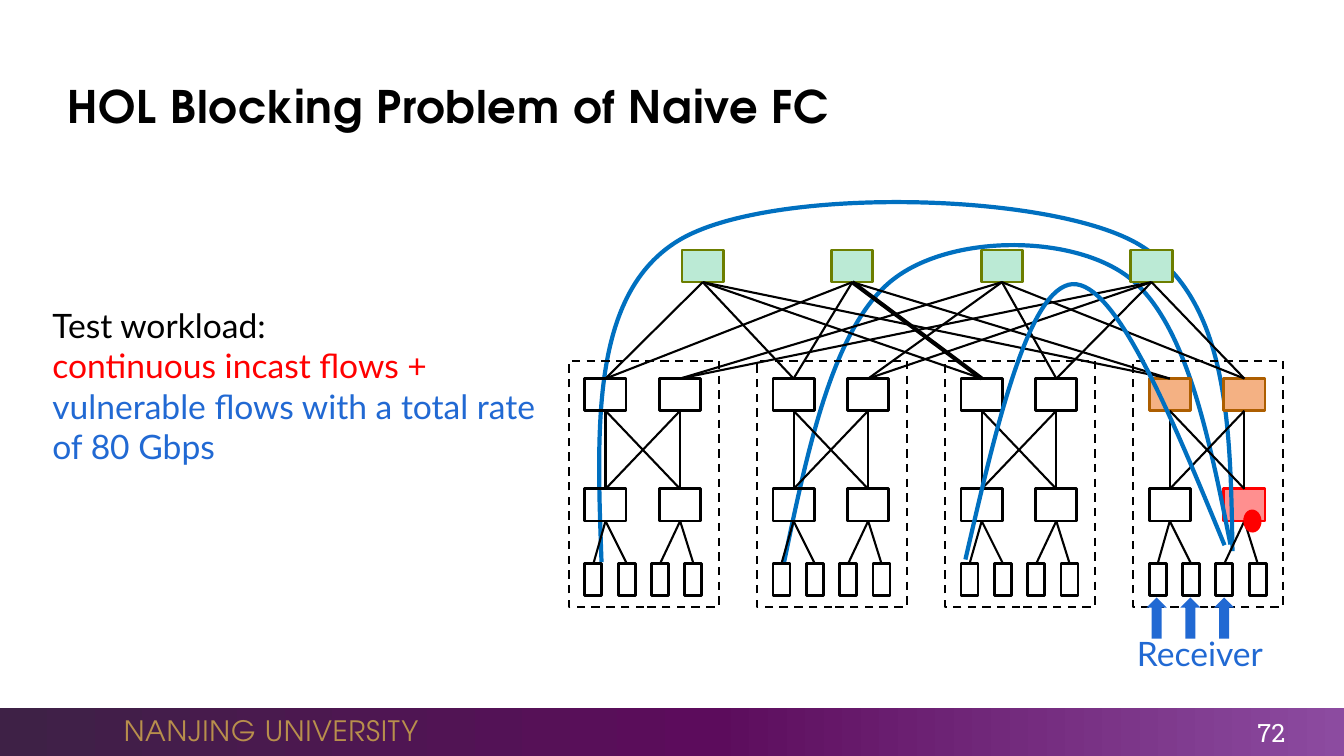
"""Build the slide on head-of-line blocking in a four-pod network."""
from copy import deepcopy
from itertools import product

from lxml import etree
from pptx import Presentation
from pptx.dml.color import RGBColor
from pptx.enum.dml import MSO_LINE
from pptx.enum.shapes import MSO_CONNECTOR, MSO_SHAPE
from pptx.enum.text import MSO_ANCHOR, PP_ALIGN
from pptx.oxml.ns import qn
from pptx.util import Cm, Pt

RECT, OVAL, ARROW = MSO_SHAPE.RECTANGLE, MSO_SHAPE.OVAL, MSO_SHAPE.RIGHT_ARROW
LINE, DASH = MSO_CONNECTOR.STRAIGHT, MSO_LINE.DASH
TOP, MID = MSO_ANCHOR.TOP, MSO_ANCHOR.MIDDLE
LEFT, RIGHT = PP_ALIGN.LEFT, PP_ALIGN.RIGHT

BLACK, RED, BLUE, FLOW = "000000", "FF0000", "2169D3", "0070C0"
HEAD, BODY, NUM = "TeX Gyre Adventor", "Lato", "Roboto Slab"
BAR = [(0, "3E2146"), (0.53, "5C0C5C"), (1, "8C4BA0")]
TITLE = [("HOL Blocking Problem of Naive FC", BLACK)]
LOAD = [
    ("Test workload:", BLACK),
    ("continuous incast flows +", RED),
    ("vulnerable flows with a total rate of 80 Gbps", BLUE),
]

PODS, CORES, PAIR, HOSTS, ARROWS = 4, 4, 2, 4, 3
BOX_W, BOX_H, HOST_W = 1.04, 0.81, 0.43
POD_X, POD_Y, POD_W, POD_H, POD_GAP = 14.34, 9.09, 3.78, 6.2, 4.74
PAD, BOX_GAP, HOST_GAP = 0.4, 1.88, 0.84
CORE_X, CORE_Y, CORE_GAP = 17.19, 6.3, 3.77
AGG_Y, TOR_Y, HOST_Y = 9.54, 12.32, 14.2
BOLD = (1, 2)

OUTER = [(15.16, 14.17), (15.04, 10.77), (14.88, 7.39), (17.12, 6.05),
         (19.38, 4.7), (26.31, 4.83), (28.63, 6.12),
         (30.96, 7.44), (31.01, 10.67), (31.06, 13.89)]
MIDDLE = [(19.76, 14.17), (20.37, 11.23), (21.01, 8.28), (22.45, 7.09),
          (23.9, 5.89), (27.03, 5.89), (28.45, 6.99),
          (29.87, 8.1), (30.45, 10.9), (31.01, 13.72)]
INNER = [(24.33, 14.1), (25.12, 10.67), (25.93, 7.24), (27.03, 7.16),
         (28.12, 7.11), (29.49, 10.41), (30.86, 13.74)]

deck = Presentation()
deck.slide_width, deck.slide_height = Cm(33.87), Cm(19.05)
slide = deck.slides.add_slide(deck.slide_layouts[6])
shapes = slide.shapes


def rgb(code):
    return RGBColor.from_string(code)


def style(item, fill=None, line=None, width=2, dash=None):
    item.shadow.inherit = False
    if fill:
        item.fill.solid()
        item.fill.fore_color.rgb = rgb(fill)
    else:
        item.fill.background()
    if line:
        item.line.color.rgb = rgb(line)
        item.line.width = Pt(width)
        if dash:
            item.line.dash_style = dash
    else:
        item.line.fill.background()
    return item


def draw(kind, x, y, w, h, turn=0, **look):
    item = shapes.add_shape(kind, Cm(x), Cm(y), Cm(w), Cm(h))
    item.rotation = turn
    return style(item, **look)


def link(x1, y1, x2, y2, width=1.5):
    item = shapes.add_connector(LINE, Cm(x1), Cm(y1), Cm(x2), Cm(y2))
    item.line.color.rgb = rgb(BLACK)
    item.line.width = Pt(width)
    etree.SubElement(item._element.spPr, qn("a:effectLst"))


def curve(knots, x, y, w, h):
    form = shapes.build_freeform(Cm(x), Cm(y))
    form.add_line_segments([(Cm(x + w), Cm(y + h))], close=False)
    item = style(form.convert_to_shape(), line=FLOW, width=3)
    trace = next(item._element.iter(qn("a:path")))
    for part in list(trace):
        trace.remove(part)
    parts = [("a:moveTo", knots[:1])]
    parts += [("a:cubicBezTo", knots[at:at + 3]) for at in range(1, len(knots), 3)]
    for tag, dots in parts:
        part = etree.SubElement(trace, qn(tag))
        for px, py in dots:
            etree.SubElement(part, qn("a:pt"), x=str(int(Cm(px - x))), y=str(int(Cm(py - y))))


def write(lines, x, y, w, h, size=24, font=BODY, bold=False, space=0,
          anchor=TOP, align=LEFT, wrap=True):
    frame = shapes.add_textbox(Cm(x), Cm(y), Cm(w), Cm(h)).text_frame
    frame.word_wrap, frame.vertical_anchor = wrap, anchor
    for at, (text, color) in enumerate(lines):
        para = frame.add_paragraph() if at else frame.paragraphs[0]
        para.alignment = align
        run = para.add_run()
        run.text = text
        run.font.size, run.font.name, run.font.bold = Pt(size), font, bold
        run.font.color.rgb = rgb(color)
        if space:
            run.font._element.set("spc", str(space))


def footer():
    bar = draw(RECT, 0, 17.83, 33.87, 1.22)
    bar.fill.gradient()
    bar.fill.gradient_angle = 0
    stops = bar._element.spPr.find(qn("a:gradFill")).find(qn("a:gsLst"))
    stops.append(deepcopy(stops[-1]))
    for stop, (place, color) in zip(bar.fill.gradient_stops, BAR):
        stop.position, stop.color.rgb = place, rgb(color)
    write([("NANJING UNIVERSITY", "B88F4C")], 2.87, 17.84, 8.05, 1.12,
          size=20, font=HEAD, space=50, anchor=MID, wrap=False)
    write([("72", "FFFFFF")], 29.95, 18.01, 2.69, 0.89,
          size=18, font=NUM, anchor=MID, align=RIGHT)


def box_x(pod, side):
    return POD_X + pod * POD_GAP + PAD + side * BOX_GAP


def port(pod, side):
    return box_x(pod, side) + BOX_W / 2


def draw_pod(pod):
    last = pod == PODS - 1
    look = {"fill": "F4B183", "line": "AD5E00"} if last else {"line": BLACK}
    for side in range(PAIR):
        if not (last and side):
            draw(RECT, box_x(pod, side), TOR_Y, BOX_W, BOX_H, line=BLACK)
        draw(RECT, box_x(pod, side), AGG_Y, BOX_W, BOX_H, **look)
    draw(RECT, POD_X + pod * POD_GAP, POD_Y, POD_W, POD_H,
         line=BLACK, width=1.5, dash=DASH)
    for up, down in product(range(PAIR), repeat=2):
        link(port(pod, up), AGG_Y + BOX_H, port(pod, down), TOR_Y)
    for host in range(HOSTS):
        x = box_x(pod, 0) + host * HOST_GAP
        draw(RECT, x, HOST_Y, HOST_W, BOX_H, line=BLACK)
        link(port(pod, host // PAIR), TOR_Y + BOX_H, x + HOST_W / 2, HOST_Y)


def network():
    draw(RECT, box_x(PODS - 1, 1), TOR_Y, BOX_W, BOX_H, fill="FF8F8F", line=RED)
    curve(OUTER, 15.09, 5.11, 15.98, 9.07)
    curve(MIDDLE, 19.76, 6.17, 11.28, 8)
    for core in range(CORES):
        draw(RECT, CORE_X + core * CORE_GAP, CORE_Y, BOX_W, BOX_H,
             fill="BBEAD5", line="6C7E00")
    for pod in range(PODS):
        draw_pod(pod)
    for core, pod in product(range(CORES), range(PODS)):
        link(CORE_X + core * CORE_GAP + BOX_W / 2, CORE_Y + BOX_H,
             port(pod, core // PAIR), AGG_Y, 3 if (core, pod) == BOLD else 1.5)
    draw(OVAL, 31.27, 12.9, 0.58, 0.46, turn=87.2, fill=RED)
    curve(INNER, 24.33, 7.16, 6.53, 6.94)


def main():
    footer()
    write(TITLE, 1.45, 1.69, 30.48, 1.96, size=32, font=HEAD, bold=True,
          space=50, anchor=MID)
    network()
    write([("Receiver", BLUE)], 28.4, 15.82, 3.78, 1.27)
    for at in range(ARROWS):
        draw(ARROW, 28.63 + at * 0.85, 15.32, 1.04, 0.51, turn=270, fill=BLUE)
    write(LOAD, 1.07, 7.56, 12.85, 4.37)
    deck.save("out.pptx")


if __name__ == "__main__":
    main()
